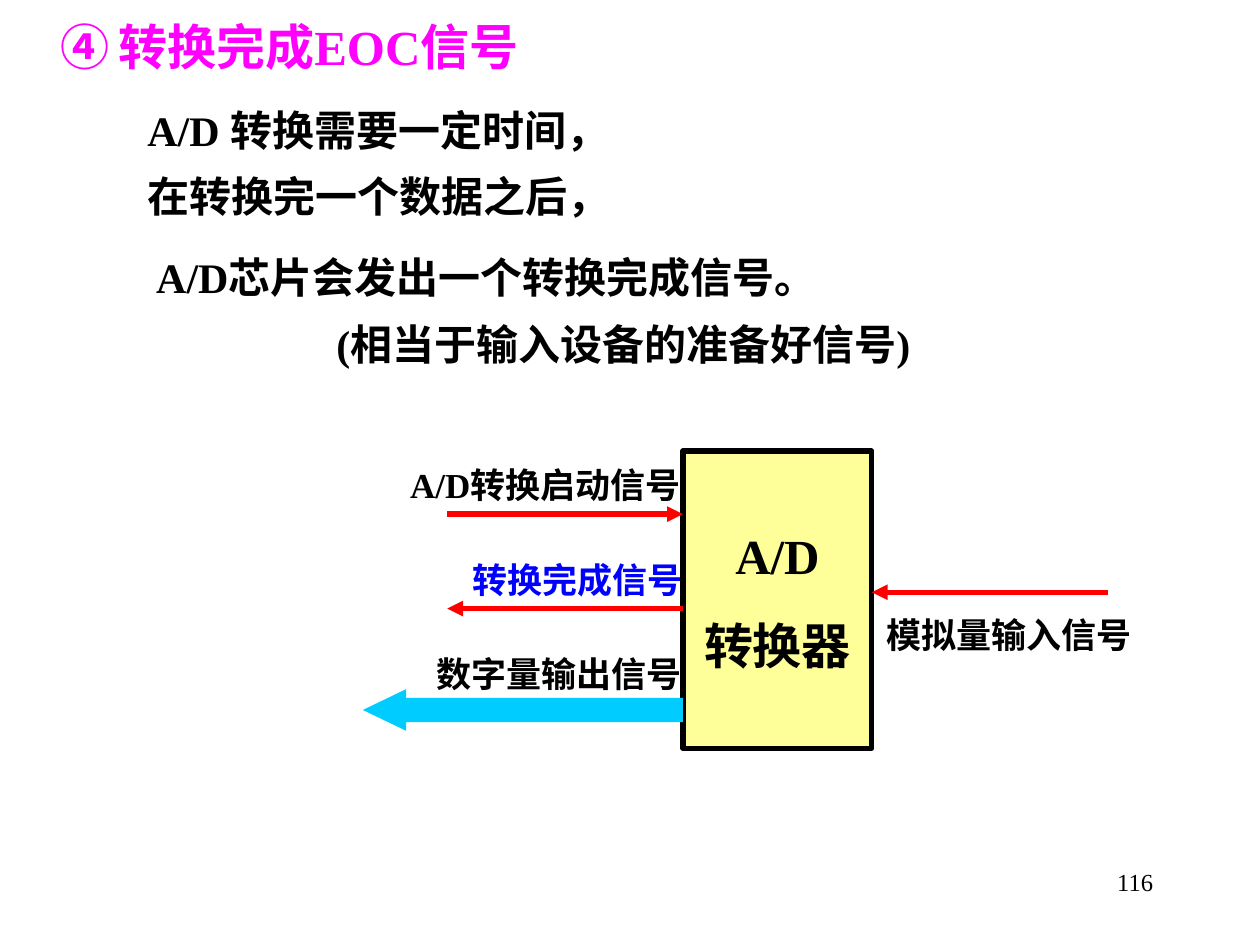
from pptx import Presentation
from pptx.dml.color import RGBColor as RGB
from pptx.enum.shapes import MSO_CONNECTOR as Line, MSO_SHAPE as Shape
from pptx.enum.text import MSO_ANCHOR as Anchor, PP_ALIGN as Align
from pptx.oxml.ns import qn
from pptx.util import Inches, Pt
from lxml.etree import SubElement as Sub


def style(font, size, color="000000", bold=True):
    font.name = "Times New Roman"
    font.size = Pt(size)
    font.bold = bold
    font.color.rgb = RGB.from_string(color)


def add_box(x, y, w, h, pad=0, wrap=True):
    frame = slide.shapes.add_textbox(Inches(x), Inches(y), Inches(w), Inches(h)).text_frame
    frame.word_wrap = wrap
    frame.margin_left = frame.margin_right = Inches(pad)
    frame.margin_top = frame.margin_bottom = Inches(pad / 2)
    return frame


deck = Presentation()
deck.slide_width, deck.slide_height = Inches(10), Inches(7.5)
slide = deck.slides.add_slide(deck.slide_layouts[6])

title = add_box(0.38, 0.08, 4.02, 0.6, 0.1, False).paragraphs[0]
style(title.font, 28, "FF00FF")
for text in ("④", " ", "转换完成EOC信号"):
    run = title.add_run()
    run.text = text
    if text == " ":
        run.font.name = "Noto Sans CJK SC"
        run.font.size = Pt(24)

chip = slide.shapes.add_shape(Shape.RECTANGLE, Inches(5.42), Inches(3.58), Inches(1.5), Inches(2.36))
chip.shadow.inherit = False
chip.fill.solid()
chip.fill.fore_color.rgb = RGB.from_string("FFFF99")
chip.line.color.rgb = RGB.from_string("000000")
chip.line.width = Pt(3)
frame = chip.text_frame
frame.margin_left = frame.margin_right = 0
frame.vertical_anchor = Anchor.MIDDLE
frame.text = "A/D\n转换器"
for para in frame.paragraphs:
    para.alignment = Align.CENTER
    style(para.font, 28)
frame.paragraphs[1].space_before = Pt(17.5)

arrow = slide.shapes.add_shape(Shape.LEFT_ARROW, Inches(2.88), Inches(5.47), Inches(2.54), Inches(0.33))
arrow.shadow.inherit = False
arrow.adjustments[0] = 0.58
arrow.adjustments[1] = 1.04
arrow.fill.solid()
arrow.fill.fore_color.rgb = RGB.from_string("00CCFF")
arrow.line.fill.background()

labels = [
    ("数字量输出信号", 3.46, 5.18, 1.95, "000000"),
    ("A/D转换启动信号", 3.22, 3.68, 2.22, "000000"),
    ("转换完成信号", 3.75, 4.43, 1.67, "0000FF"),
    ("模拟量输入信号", 7.02, 4.87, 1.98, "000000"),
]
for text, x, y, w, color in labels:
    para = add_box(x, y, w, 0.33, wrap=False).paragraphs[0]
    para.text = text
    para.alignment = Align.CENTER
    style(para.font, 20, color)

for start, end, y in ((8.79, 6.92, 4.7), (3.55, 5.42, 4.08), (5.42, 3.55, 4.83)):
    wire = slide.shapes.add_connector(Line.STRAIGHT, Inches(start), Inches(y), Inches(end), Inches(y))
    wire.line.color.rgb = RGB.from_string("FF0000")
    wire.line.width = Pt(3)
    Sub(wire.line._get_or_add_ln(), qn("a:tailEnd"), type="triangle")
    Sub(wire._element.spPr, qn("a:effectLst"))

body = [
    ("A/D 转换需要一定时间，", 0),
    ("在转换完一个数据之后，", 0),
    ("A/D芯片会发出一个转换完成信号。", 0.07),
    ("(相当于输入设备的准备好信号)", 1.5),
]
frame = add_box(1.17, 0.83, 6.5, 2.1)
frame.text = "\n".join(text for text, indent in body)
for para, (text, indent) in zip(frame.paragraphs, body):
    para._p.get_or_add_pPr().set("marL", str(Inches(indent)))
    para.space_after = Pt(9)
    style(para.font, 24)
frame.paragraphs[2].line_spacing = 1.3

page = add_box(7.17, 6.83, 2.08, 0.5, 0.1).paragraphs[0]
page.text = "116"
page.alignment = Align.RIGHT
style(page.font, 14, bold=False)

deck.save("out.pptx")
